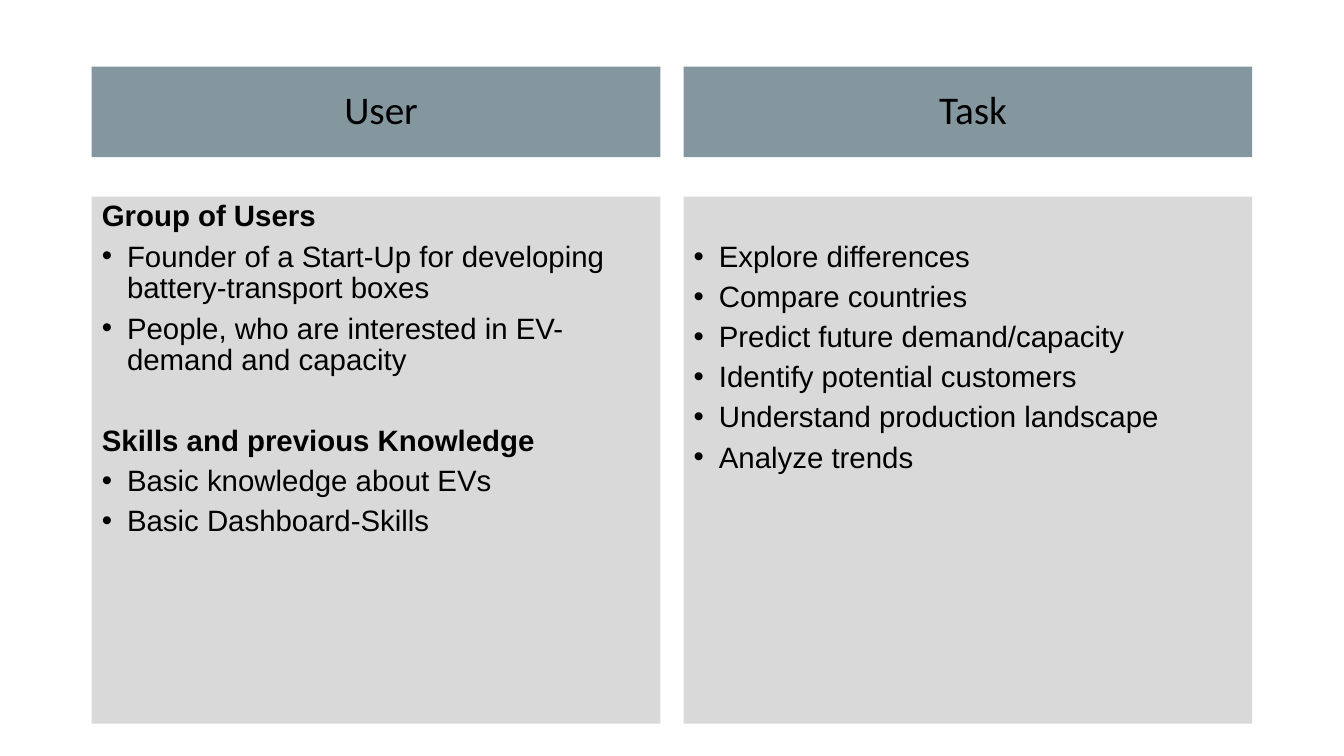
from lxml import etree
from pptx import Presentation
from pptx.dml.color import RGBColor
from pptx.enum.text import MSO_ANCHOR, MSO_AUTO_SIZE, PP_ALIGN
from pptx.oxml.ns import qn
from pptx.util import Inches, Pt

CENTER, LEFT = PP_ALIGN.CENTER, PP_ALIGN.LEFT
MIDDLE, TOP = MSO_ANCHOR.MIDDLE, MSO_ANCHOR.TOP
NO_AUTOFIT = MSO_AUTO_SIZE.NONE

MARGIN, COLUMN_WIDTH, COLUMN_STEP = 0.91, 5.64, 5.87
HEADER_TOP, HEADER_HEIGHT = 0.66, 0.9
PANEL_TOP, PANEL_HEIGHT = 1.95, 5.23
INDENT = Inches(0.25)
LINE_SPACING = 0.9
ITEM_GAP, GROUP_GAP = 6, 35

# Each column: header, top inset of its panel, groups of (heading, items)
COLUMNS = [
    ("User", 0.05, [
        ("Group of Users", [
            "Founder of a Start-Up for developing battery-transport boxes",
            "People, who are interested in EV-demand and capacity",
        ]),
        ("Skills and previous Knowledge", [
            "Basic knowledge about EVs",
            "Basic Dashboard-Skills",
        ]),
    ]),
    ("Task", 0.45, [
        (None, [
            "Explore differences",
            "Compare countries",
            "Predict future demand/capacity",
            "Identify potential customers",
            "Understand production landscape",
            "Analyze trends",
        ]),
    ]),
]


def prepare_box(box, left, top, height, fill, anchor, insets):
    """Place and fill a placeholder and return its text frame."""
    box.left, box.top = Inches(left), Inches(top)
    box.width, box.height = Inches(COLUMN_WIDTH), Inches(height)
    box.fill.solid()
    box.fill.fore_color.rgb = RGBColor.from_string(fill)
    frame = box.text_frame
    frame.word_wrap = True
    frame.auto_size = NO_AUTOFIT
    frame.vertical_anchor = anchor
    (frame.margin_left, frame.margin_top,
     frame.margin_right, frame.margin_bottom) = map(Inches, insets)
    return frame


def write_paragraph(paragraph, text, font, size, bold=False, align=LEFT,
                    gap=0, bullet=False):
    paragraph.alignment = align
    paragraph.line_spacing = LINE_SPACING
    paragraph.space_before = Pt(gap)
    paragraph.space_after = Pt(0)
    properties = paragraph._p.get_or_add_pPr()
    properties.set("marL", str(INDENT if bullet else 0))
    properties.set("indent", str(-INDENT if bullet else 0))
    if bullet:
        etree.SubElement(properties, qn("a:buFont"), typeface="Arial")
        etree.SubElement(properties, qn("a:buChar"), char="•")
    else:
        etree.SubElement(properties, qn("a:buNone"))
    run = paragraph.add_run()
    run.text = text
    run.font.name, run.font.size, run.font.bold = font, Pt(size), bold
    run.font.color.rgb = RGBColor.from_string("000000")


presentation = Presentation()
presentation.slide_width, presentation.slide_height = Inches(13.33), Inches(7.5)
slide = presentation.slides.add_slide(
    presentation.slide_layouts.get_by_name("Comparison"))
title, *column_boxes = slide.placeholders
title.element.getparent().remove(title.element)

for index, (header, top_inset, groups) in enumerate(COLUMNS):
    left = MARGIN + index * COLUMN_STEP
    header_box, panel = column_boxes[2 * index:2 * index + 2]

    header_frame = prepare_box(header_box, left, HEADER_TOP, HEADER_HEIGHT,
                               "0A3041", MIDDLE, (0.2, 0.05, 0.1, 0.05))
    header_color = header_box.element.spPr.find(".//" + qn("a:srgbClr"))
    etree.SubElement(header_color, qn("a:alpha"), val="50000")
    write_paragraph(header_frame.paragraphs[0], header, "Calibri", 28, align=CENTER)

    panel_frame = prepare_box(panel, left, PANEL_TOP, PANEL_HEIGHT,
                              "D9D9D9", TOP, (0.1, top_inset, 0.1, 0.05))
    lines = []
    for heading, items in groups:
        if heading:
            lines.append((heading, True, GROUP_GAP if lines else ITEM_GAP))
        lines += [(item, False, ITEM_GAP) for item in items]
    for number, (text, is_heading, gap) in enumerate(lines):
        paragraph = panel_frame.add_paragraph() if number else panel_frame.paragraphs[0]
        write_paragraph(paragraph, text, "Arial", 21, bold=is_heading,
                        gap=gap, bullet=not is_heading)

presentation.save("out.pptx")
